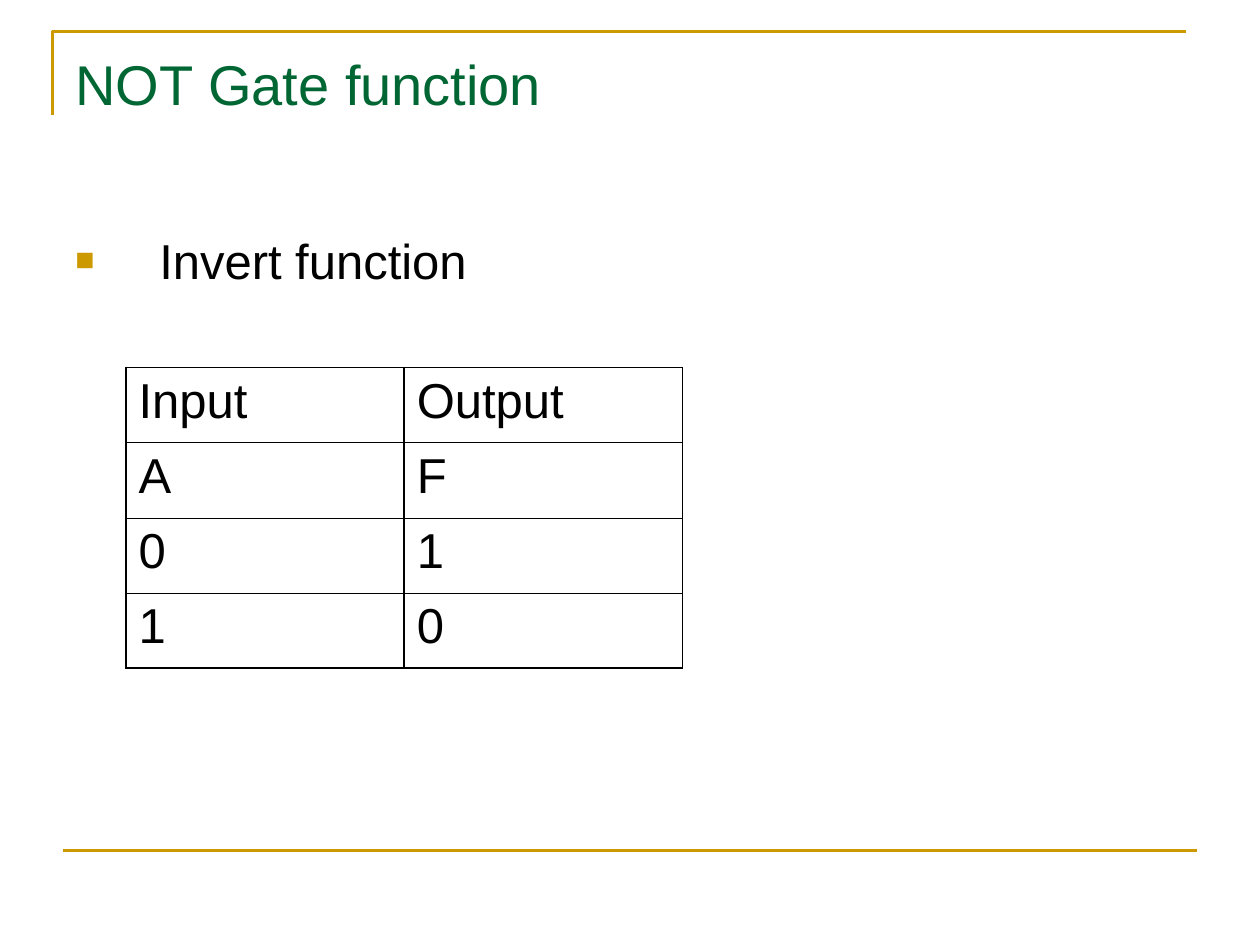
from pptx import Presentation
from pptx.dml.color import RGBColor
from pptx.enum.shapes import MSO_CONNECTOR
from pptx.enum.text import MSO_ANCHOR
from pptx.oxml.ns import qn
from pptx.util import Pt
from lxml import etree

STRAIGHT = MSO_CONNECTOR.STRAIGHT
TOP = MSO_ANCHOR.TOP
GOLD, GREEN, BLACK = "CC9900", "006633", "000000"
TITLE = {"name": "Arial", "size": Pt(32)}
BODY = {"name": "Arial", "size": Pt(28)}
TRUTH_TABLE = [("Input", "Output"), ("A", "F"), ("0", "1"), ("1", "0")]


def paint(color_format, value):
    """Set a colour from a hex string."""
    color_format.rgb = RGBColor.from_string(value)


def add_element(parent, tag, **attributes):
    """Append a DrawingML element with the given attributes."""
    return etree.SubElement(parent, qn(tag), attributes)


def style_line(line):
    """Give a line the gold rule style."""
    line.width = Pt(1.5)
    paint(line.color, GOLD)


def write(para, text, font_format, color):
    """Put one formatted span of text in a paragraph."""
    span = para.add_run()
    span.text = text
    for name, value in font_format.items():
        setattr(span.font, name, value)
    paint(span.font.color, color)


def add_box(page, left, top, width, height, inset_top):
    """Add a wrapping text box and return its first paragraph."""
    frame = page.shapes.add_textbox(Pt(left), Pt(top), Pt(width), Pt(height)).text_frame
    frame.word_wrap = True
    frame.vertical_anchor = TOP
    frame.margin_top = Pt(inset_top)
    return frame.paragraphs[0]


def add_frame(page, left, top, width, corner_height, foot_top):
    """Draw the corner rule above the title and the rule at the foot."""
    builder = page.shapes.build_freeform(Pt(left), Pt(top + corner_height))
    corner_points = [(Pt(left), Pt(top)), (Pt(left + width), Pt(top))]
    builder.add_line_segments(corner_points, close=False)
    corner = builder.convert_to_shape()
    corner.shadow.inherit = False
    corner.fill.background()
    style_line(corner.line)
    foot_left = left + 6
    foot = page.shapes.add_connector(
        STRAIGHT, Pt(foot_left), Pt(foot_top), Pt(foot_left + width), Pt(foot_top))
    style_line(foot.line)
    add_element(foot._element.spPr, "a:effectLst")


def add_title(page, left, top, width, height):
    """Write the slide title."""
    write(add_box(page, left, top, width, height, 6.5), "NOT Gate function", TITLE, GREEN)


def add_body(page, left, top, width, height):
    """Write the bulleted statement."""
    para = add_box(page, left, top, width, height, 5.5)
    properties = para._p.get_or_add_pPr()
    indent = Pt(48)
    properties.set("marL", str(indent))
    properties.set("indent", str(-indent))
    bullet_color = add_element(properties, "a:buClr")
    add_element(bullet_color, "a:srgbClr", val=GOLD)
    add_element(properties, "a:buSzPct", val="65000")
    add_element(properties, "a:buFont", typeface="Arial")
    add_element(properties, "a:buChar", char="■")
    write(para, "Invert function", BODY, BLACK)


def set_borders(cell, widths):
    """Give a cell black borders of the given widths, keyed by side."""
    properties = cell._tc.get_or_add_tcPr()
    for side in "LRTB":
        border = add_element(properties, f"a:ln{side}", w=str(Pt(widths[side])))
        fill = add_element(border, "a:solidFill")
        add_element(fill, "a:srgbClr", val=BLACK)


def add_truth_table(page, left, top, width, height):
    """Add the truth table with a heavy outline and fine row rules."""
    row_count, column_count = len(TRUTH_TABLE), len(TRUTH_TABLE[0])
    table = page.shapes.add_table(
        row_count, column_count, Pt(left), Pt(top), Pt(width), Pt(height)).table
    table.first_row = table.horz_banding = False
    heavy, fine = 1.08, 0.45
    for row, texts in enumerate(TRUTH_TABLE):
        for column, text in enumerate(texts):
            cell = table.cell(row, column)
            set_borders(cell, {
                "L": heavy, "R": heavy,
                "T": heavy if row == 0 else fine,
                "B": heavy if row == row_count - 1 else fine})
            cell.fill.background()
            write(cell.text_frame.paragraphs[0], text, BODY, BLACK)


def main():
    """Build and save the slide."""
    deck = Presentation()
    deck.slide_width, deck.slide_height = Pt(720), Pt(540)
    page = deck.slides.add_slide(deck.slide_layouts[6])
    add_frame(page, 30, 18, 648, 48, 486)
    add_title(page, 36, 21.6, 648, 90)
    add_body(page, 36, 126, 648, 72)
    add_truth_table(page, 72, 210, 318, 172)
    deck.save("out.pptx")


if __name__ == "__main__":
    main()
